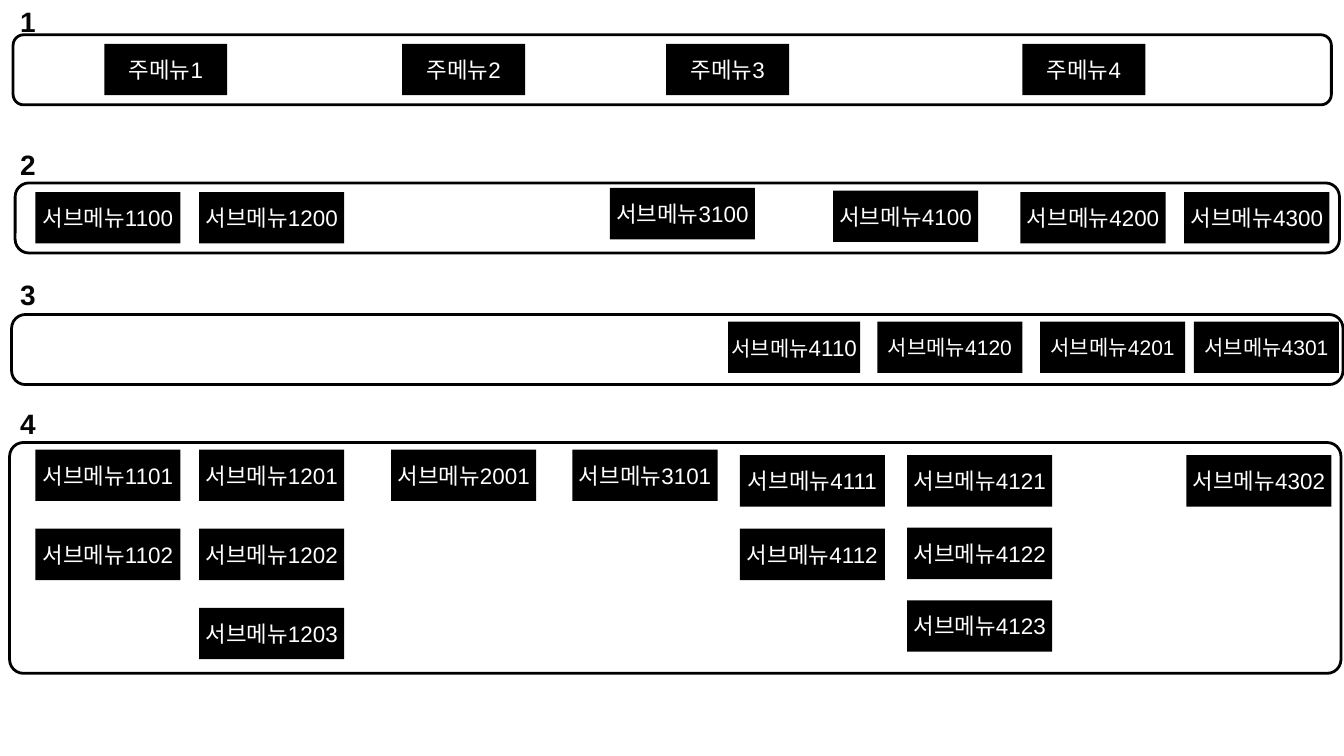
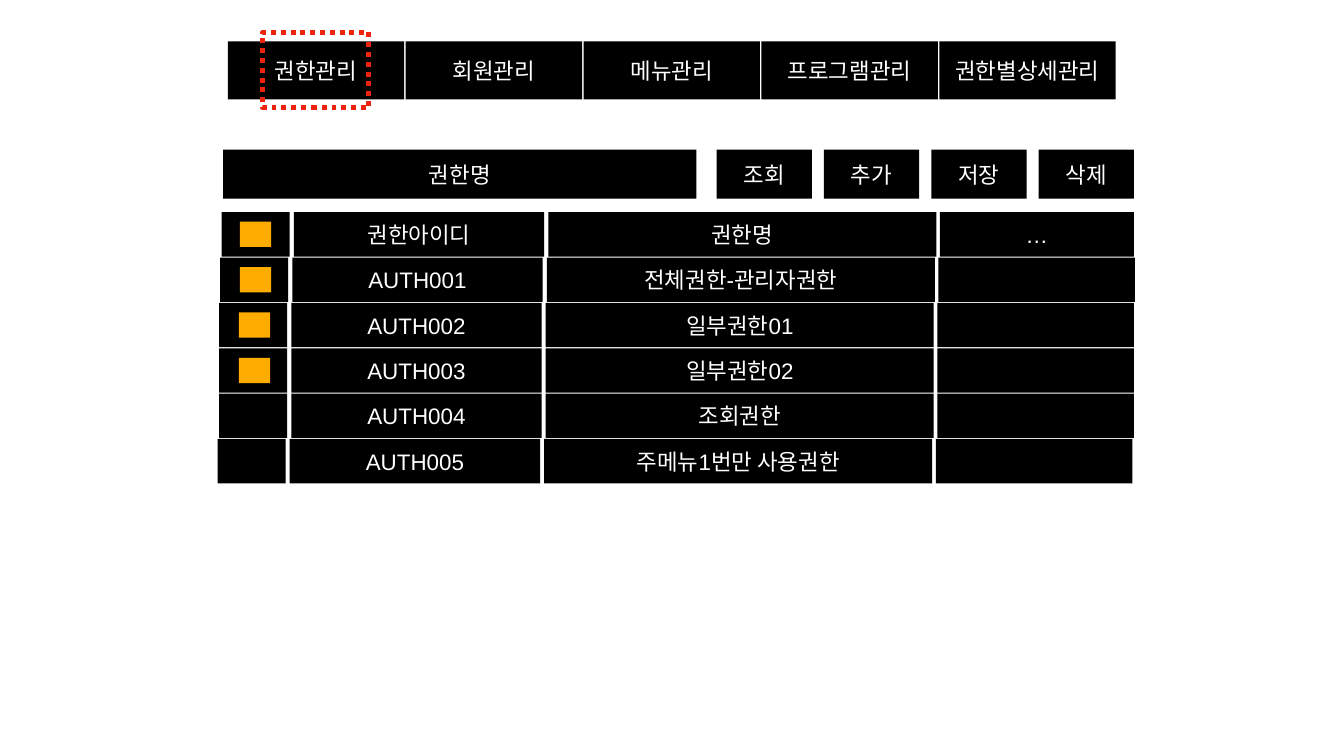
from pptx import Presentation
from pptx.dml.color import RGBColor
from pptx.enum.dml import MSO_LINE
from pptx.enum.shapes import MSO_SHAPE
from pptx.enum.text import MSO_ANCHOR, MSO_AUTO_SIZE, PP_ALIGN
from pptx.util import Inches, Pt

BLACK = RGBColor(0, 0, 0)
INK = RGBColor(5, 5, 5)
WHITE = RGBColor(255, 255, 255)
RED = RGBColor(0xEE, 0x23, 0x0C)
AMBER = RGBColor(0xFE, 0xAD, 0x00)
FONT = "Arial"
SIZE = 32
PAD = 0.05

# Menu levels: label top, frame (left, top, width, height), corner
LEVELS = [
    ("1", 0.04, (0.26, 0.69, 26.16, 1.39), 0.15),
    ("2", 2.87, (0.3, 3.63, 26.28, 1.39), 0.197),
    ("3", 5.44, (0.23, 6.24, 26.42, 1.39), 0.197),
    ("4", 8, (0.19, 8.78, 26.42, 4.58), 0.06),
]
MAIN_TOP, MAIN_WIDE = 0.87, 2.44
SUB_WIDE, MENU_HIGH = 2.88, 1.02
MAIN = [("1", 2.07), ("2", 7.98), ("3", 13.22), ("4", 20.29)]
# Submenus: number, left, top
SECOND = [
    ("1100", 0.7, 3.81), ("1200", 3.95, 3.81), ("3100", 12.1, 3.73),
    ("4100", 16.53, 3.78), ("4200", 20.25, 3.81), ("4300", 23.5, 3.81),
]
THIRD_TOP, THIRD_SIZE = 6.38, 30
# Third level: number, left, width, number size
THIRD = [
    ("4110", 14.45, 2.62, SIZE), ("4120", 17.41, SUB_WIDE, THIRD_SIZE),
    ("4201", 20.64, SUB_WIDE, THIRD_SIZE), ("4301", 23.69, SUB_WIDE, THIRD_SIZE),
]
# Fourth level columns: left, top, step, numbers
FOURTH = [
    (0.7, 8.92, 1.57, ["1101", "1102"]),
    (3.95, 8.92, 1.57, ["1201", "1202", "1203"]),
    (7.76, 8.92, 0, ["2001"]),
    (11.36, 8.92, 0, ["3101"]),
    (14.68, 9.03, 1.46, ["4111", "4112"]),
    (18, 9.03, 1.44, ["4121", "4122", "4123"]),
    (23.54, 9.03, 0, ["4302"]),
]

TABS = ["권한관리", "회원관리", "메뉴관리", "프로그램관리", "권한별상세관리"]
FIELD = "권한명"
BUTTONS = ["조회", "추가", "저장", "삭제"]
# Rows: left, check box left, cell texts
ROWS = [
    (4.4, 4.76, ["", "권한아이디", "권한명", "…"]),
    (4.37, 4.76, ["", "AUTH001", "전체권한-관리자권한", ""]),
    (4.35, 4.74, ["", "AUTH002", "일부권한01", ""]),
    (4.35, 4.74, ["", "AUTH003", "일부권한02", ""]),
    (4.35, None, ["", "AUTH004", "조회권한", ""]),
    (4.32, None, ["", "AUTH005", "주메뉴1번만 사용권한", ""]),
]
COLS = [(0, 1.35), (1.43, 4.97), (6.48, 7.7), (14.25, 3.9)]
LAST_HEAD = 3.85
ROW_TOP, ROW_STEP, ROW_HIGH = 4.21, 0.9, 0.88


def write(shape, runs, color=WHITE, bold=None):
    """Centre the (text, size) runs in a shape or text box."""
    frame = shape.text_frame
    frame.margin_left = frame.margin_right = Inches(PAD)
    frame.margin_top = frame.margin_bottom = Inches(PAD)
    frame.vertical_anchor = MSO_ANCHOR.MIDDLE
    para = frame.paragraphs[0]
    para.alignment = PP_ALIGN.CENTER
    for text, size in runs:
        run = para.add_run()
        run.text = text
        font = run.font
        font.name, font.size, font.bold = FONT, Pt(size), bold
        font.color.rgb = color


def add_box(shapes, at, runs=(), fill=BLACK, kind=MSO_SHAPE.RECTANGLE):
    box = shapes.add_shape(kind, *map(Inches, at))
    box.shadow.inherit = False
    box.line.fill.background()
    if fill is None:
        box.fill.background()
    else:
        box.fill.solid()
        box.fill.fore_color.rgb = fill
    if runs:
        write(box, runs)
    return box


def add_frame(shapes, at, color, width, kind=MSO_SHAPE.RECTANGLE):
    frame = add_box(shapes, at, fill=None, kind=kind)
    frame.line.color.rgb = color
    frame.line.width = Pt(width)
    return frame


def add_sub(shapes, number, left, top):
    add_box(shapes, (left, top, SUB_WIDE, MENU_HIGH), [("서브메뉴" + number, SIZE)])


def draw_menus(shapes):
    for number, left in MAIN:
        add_box(shapes, (left, MAIN_TOP, MAIN_WIDE, MENU_HIGH),
                [("주메뉴" + number, SIZE)])
    for number, left, top in SECOND:
        add_sub(shapes, number, left, top)
    for number, left, wide, size in THIRD:
        runs = [("서브메뉴", THIRD_SIZE), (number, size)]
        if size == THIRD_SIZE:
            runs = [("서브메뉴" + number, size)]
        add_box(shapes, (left, THIRD_TOP, wide, MENU_HIGH), runs)
    for left, top, step, numbers in FOURTH:
        for i, number in enumerate(numbers):
            add_sub(shapes, number, left, top + i * step)
    for label, top, at, corner in LEVELS:
        frame = add_frame(shapes, at, BLACK, 4, MSO_SHAPE.ROUNDED_RECTANGLE)
        frame.adjustments[0] = corner
        mark = shapes.add_textbox(*map(Inches, (0.34, top, 0.43, 0.78)))
        mark.text_frame.word_wrap = False
        mark.text_frame.auto_size = MSO_AUTO_SIZE.SHAPE_TO_FIT_TEXT
        write(mark, [(label, 40)], INK, True)


def draw_rights(shapes):
    for i, tab in enumerate(TABS):
        add_box(shapes, (4.52 + i * 3.53, 0.82, 3.5, 1.15), [(tab, SIZE)])
    focus = add_frame(shapes, (5.21, 0.64, 2.11, 1.5), RED, 7)
    focus.line.dash_style = MSO_LINE.ROUND_DOT
    add_box(shapes, (4.43, 2.97, 9.39, 0.97), [(FIELD, SIZE)])
    for i, name in enumerate(BUTTONS):
        add_box(shapes, (14.22 + i * 2.13, 2.97, 1.89, 0.97), [(name, SIZE)])
    for i, (left, check, texts) in enumerate(ROWS):
        top = ROW_TOP + i * ROW_STEP
        row = shapes.add_group_shape().shapes
        for j, ((shift, wide), text) in enumerate(zip(COLS, texts)):
            if i == 0 and j == len(COLS) - 1:
                wide = LAST_HEAD
            add_box(row, (left + shift, top, wide, ROW_HIGH),
                    [(text, SIZE)] if text else ())
        if check is not None:
            add_box(row, (check, top + 0.19, 0.62, 0.5), fill=AMBER)


def main():
    deck = Presentation()
    deck.slide_width, deck.slide_height = Inches(26.67), Inches(15)
    blank = deck.slide_layouts[6]
    for draw in (draw_menus, draw_rights):
        draw(deck.slides.add_slide(blank).shapes)
    deck.save("out.pptx")


if __name__ == "__main__":
    main()
